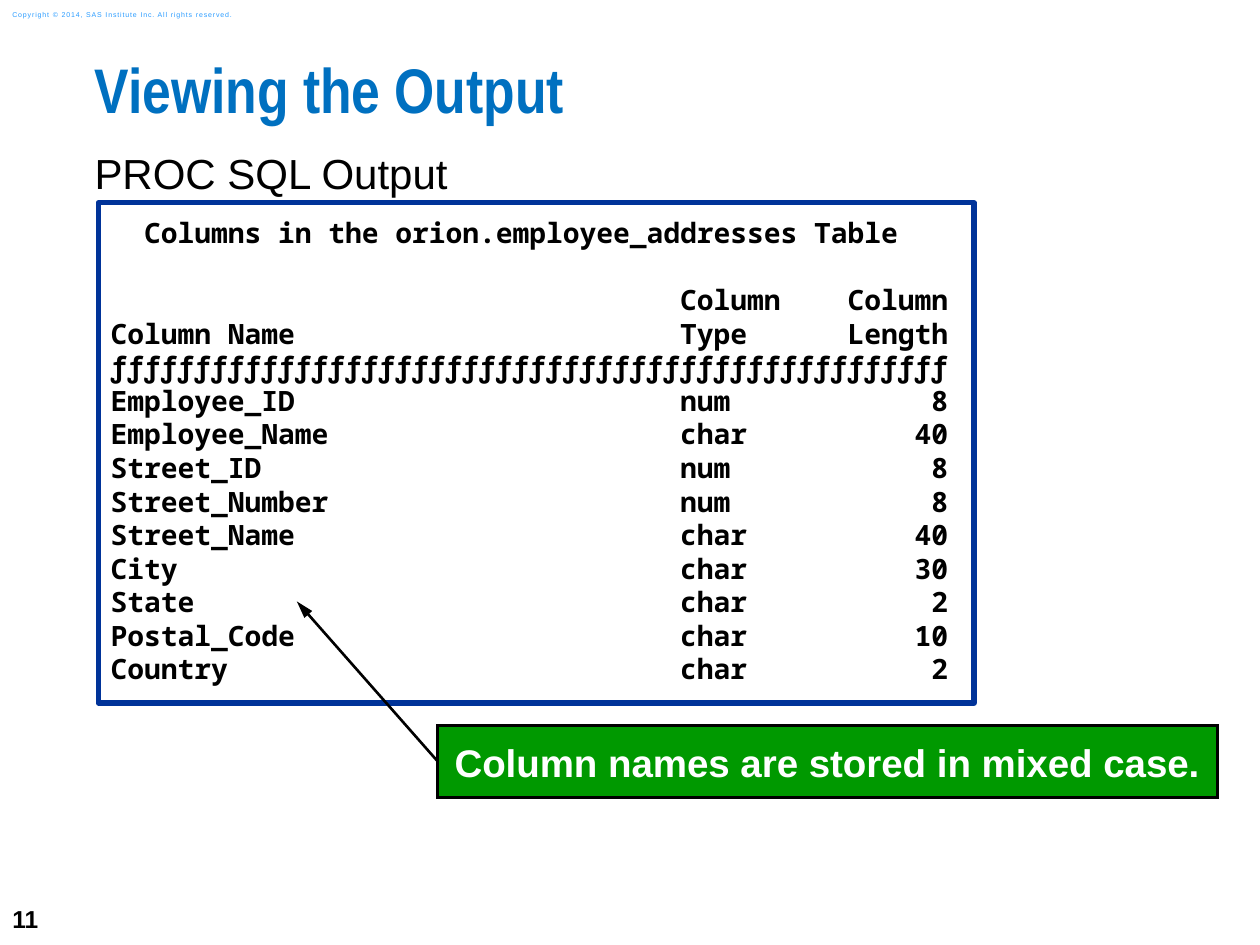
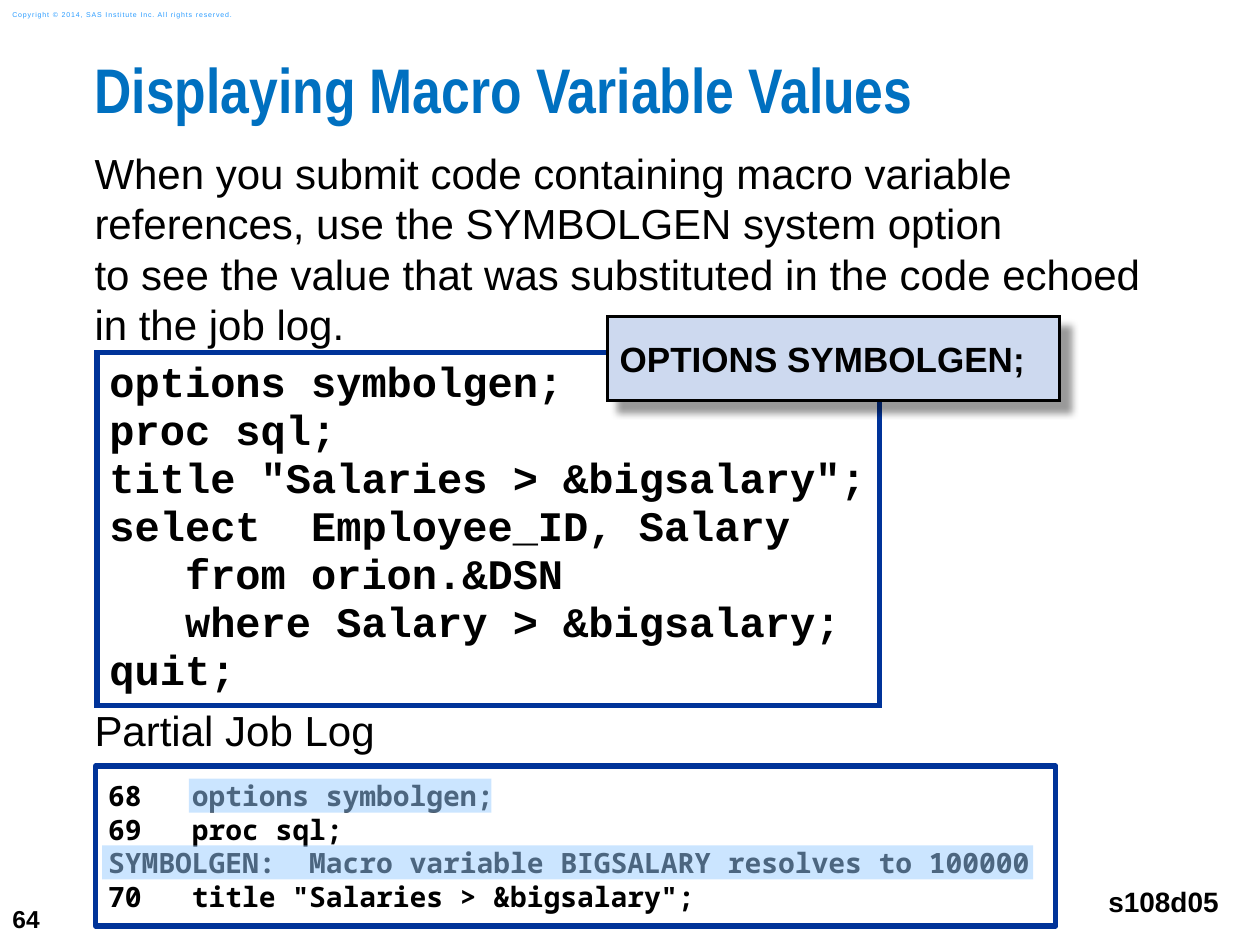
from lxml import etree
from pptx import Presentation
from pptx import util as u
from pptx.dml.color import RGBColor
from pptx.enum import shapes, text
from pptx.oxml import ns

NAVY, BLACK, WHITE = "003399", "000000", "FFFFFF"
SANS, MONO, COURIER = "Arial", "Noto Sans Mono", "Courier New"
COPYRIGHT = "Copyright © 2014, SAS Institute Inc. All rights reserved."

COLUMNS = [
    ("Employee_ID", "num", 8), ("Employee_Name", "char", 40),
    ("Street_ID", "num", 8), ("Street_Number", "num", 8),
    ("Street_Name", "char", 40), ("City", "char", 30),
    ("State", "char", 2), ("Postal_Code", "char", 10), ("Country", "char", 2),
]
INTRO = ("When you submit code containing macro variable references, "
         "use the SYMBOLGEN system option\v"
         "to see the value that was substituted in the code echoed\v"
         "in the job log.")
CODE = """options symbolgen;
proc sql;
title "Salaries > &bigsalary";
select  Employee_ID, Salary
   from orion.&DSN
   where Salary > &bigsalary;
quit;"""
LOG = """68   options symbolgen;
69   proc sql;
SYMBOLGEN:  Macro variable BIGSALARY resolves to 100000
70   title "Salaries > &bigsalary";"""


def color(value):
    return RGBColor.from_string(value)


def sub(parent, tag, **attrs):
    """Append a DrawingML child element."""
    return etree.SubElement(parent, ns.qn(f"a:{tag}"), {k: str(v) for k, v in attrs.items()})


def write(sp, content, size, font=SANS, fill=BLACK, bold=False, align="LEFT",
          anchor="TOP", inset=(0.1, 0.05, 0.1, 0.05), wrap=True,
          spacing=None, tracking=None, gaps=None):
    """Fill a shape with one paragraph per line; gaps maps line index to points before it."""
    tf = sp.text_frame
    tf.word_wrap = wrap
    tf.vertical_anchor = text.MSO_ANCHOR[anchor]
    tf.margin_left, tf.margin_top, tf.margin_right, tf.margin_bottom = map(u.Inches, inset)
    tf.text = content
    for i, p in enumerate(tf.paragraphs):
        p.alignment = text.PP_ALIGN[align]
        if spacing:
            p.line_spacing = u.Pt(spacing)
        if gaps and i in gaps:
            p.space_before = u.Pt(gaps[i])
        for r in p.runs:
            r.font.size = u.Pt(size)
            r.font.name = font
            r.font.bold = bold
            r.font.color.rgb = color(fill)
            if tracking:
                r._r.get_or_add_rPr().set("spc", str(tracking))


class Deck:
    def __init__(self):
        self.prs = Presentation()
        self.prs.slide_width, self.prs.slide_height = u.Inches(10), u.Inches(7.5)
        self.s = None

    def slide(self, title, number):
        self.s = self.prs.slides.add_slide(self.prs.slide_layouts[6])
        self.label((0, 7.08, 0.58, 0.42), str(number), size=14, bold=True,
                   anchor="MIDDLE", wrap=False)
        self.label((0, 0.03, 2.11, 0.17), COPYRIGHT, size=4, fill="2A9CFF",
                   anchor="MIDDLE", tracking=50)
        self.label((0.75, 0.5, 9.25, 0.74), title, size=36, font="Arial Narrow",
                   fill="0070C0", bold=True, inset=(0, 0, 0, 0), spacing=36)

    def label(self, at, content, **fmt):
        sp = self.s.shapes.add_textbox(*map(u.Inches, at))
        write(sp, content, **fmt)

    def body(self, top, height, content):
        self.label((0.75, top, 8.58, height), content, size=24,
                   inset=(0, 0, 0, 0), spacing=28.8)

    def box(self, at, fill, line=None, width=3, kind="RECTANGLE", miter=True):
        sp = self.s.shapes.add_shape(shapes.MSO_SHAPE[kind], *map(u.Inches, at))
        sp.shadow.inherit = False
        sp.fill.solid()
        sp.fill.fore_color.rgb = color(fill)
        if line:
            sp.line.color.rgb = color(line)
            sp.line.width = u.Pt(width)
            if miter:
                sub(sp.line._get_or_add_ln(), "miter", lim=800000)
        else:
            sp.line.fill.background()
        return sp

    def listing(self, at, content, gaps=None):
        """Framed report or log output."""
        write(self.box(at, WHITE, NAVY, miter=False), content, size=16, font=MONO,
              bold=True, inset=(0.1, 0.1, 0.1, 0.1), wrap=False, spacing=19.2, gaps=gaps)

    def code(self, at, content):
        write(self.box(at, WHITE, NAVY), content, size=24, font=COURIER, bold=True,
              inset=(0.1, 0.04, 0.06, 0.06), wrap=False, spacing=27.4)

    def callout(self, at, content, pointer):
        """Box whose arrow runs between (y, x, y, x) fractions of its size."""
        sp = self.box(at, "009900", BLACK, 1.5, "LINE_CALLOUT_1")
        for i, value in enumerate(pointer):
            sp.adjustments[i] = value
        sub(sp.line._get_or_add_ln(), "tailEnd", type="triangle", len="lg")
        write(sp, content, size=22, fill=WHITE, bold=True, align="CENTER",
              anchor="MIDDLE", inset=(0.1, 0.1, 0.1, 0.1), wrap=False)

    def syntax(self, at, content):
        """Shadowed box with a statement's general form."""
        sp = self.box(at, "CDD9EF", BLACK, 1.5)
        effects = sp._element.spPr.find(ns.qn("a:effectLst"))
        shadow = sub(effects, "outerShdw", blurRad=u.Pt(4), dist=u.Pt(8.5),
                     dir=45 * 60000, algn="tl", rotWithShape=0)
        sub(sub(shadow, "srgbClr", val=BLACK), "alpha", val=40000)
        write(sp, content, size=20, bold=True, inset=(0.1, 0.17, 0.1, 0.17))

    def highlight(self, at):
        sp = self.box(at, "99CCFF")
        sub(sp._element.spPr.find(ns.qn("a:solidFill"))[0], "alpha", val=50000)


def report_text():
    rows = [("", "Column", "Column"), ("Column Name", "Type", "Length")]
    lines = [f"{name:<34}{kind:<10}{length:>6}" for name, kind, length in rows + COLUMNS]
    lines.insert(len(rows), "ƒ" * 50)
    return "\n".join(["  Columns in the orion.employee_addresses Table"] + lines)


def output_slide(deck):
    deck.slide("Viewing the Output", 11)
    deck.body(1.17, 0.42, "PROC SQL Output")
    deck.listing((0.78, 1.61, 6.95, 3.97), report_text(), gaps={1: 19.2})
    deck.callout((3.47, 5.76, 6.19, 0.57), "Column names are stored in mixed case.",
                 pointer=(0.49, 0, -1.73, -0.18))


def macro_slide(deck):
    deck.slide("Displaying Macro Variable Values", 64)
    deck.body(1.17, 1.62, INTRO)
    deck.body(5.59, 0.42, "Partial Job Log")
    deck.label((8.5, 6.92, 1.27, 0.46), "s108d05", size=16, bold=True, align="RIGHT",
               inset=(0.1, 0.1, 0.1, 0.1))
    deck.code((0.77, 2.8, 6.21, 2.8), CODE)
    deck.syntax((4.82, 2.51, 3.59, 0.67), "OPTIONS SYMBOLGEN;")
    deck.listing((0.76, 6.08, 7.62, 1.27), LOG)
    deck.highlight((1.5, 6.18, 2.4, 0.27))
    deck.highlight((0.81, 6.71, 7.39, 0.27))


def main():
    deck = Deck()
    output_slide(deck)
    macro_slide(deck)
    deck.prs.save("out.pptx")


if __name__ == "__main__":
    main()
